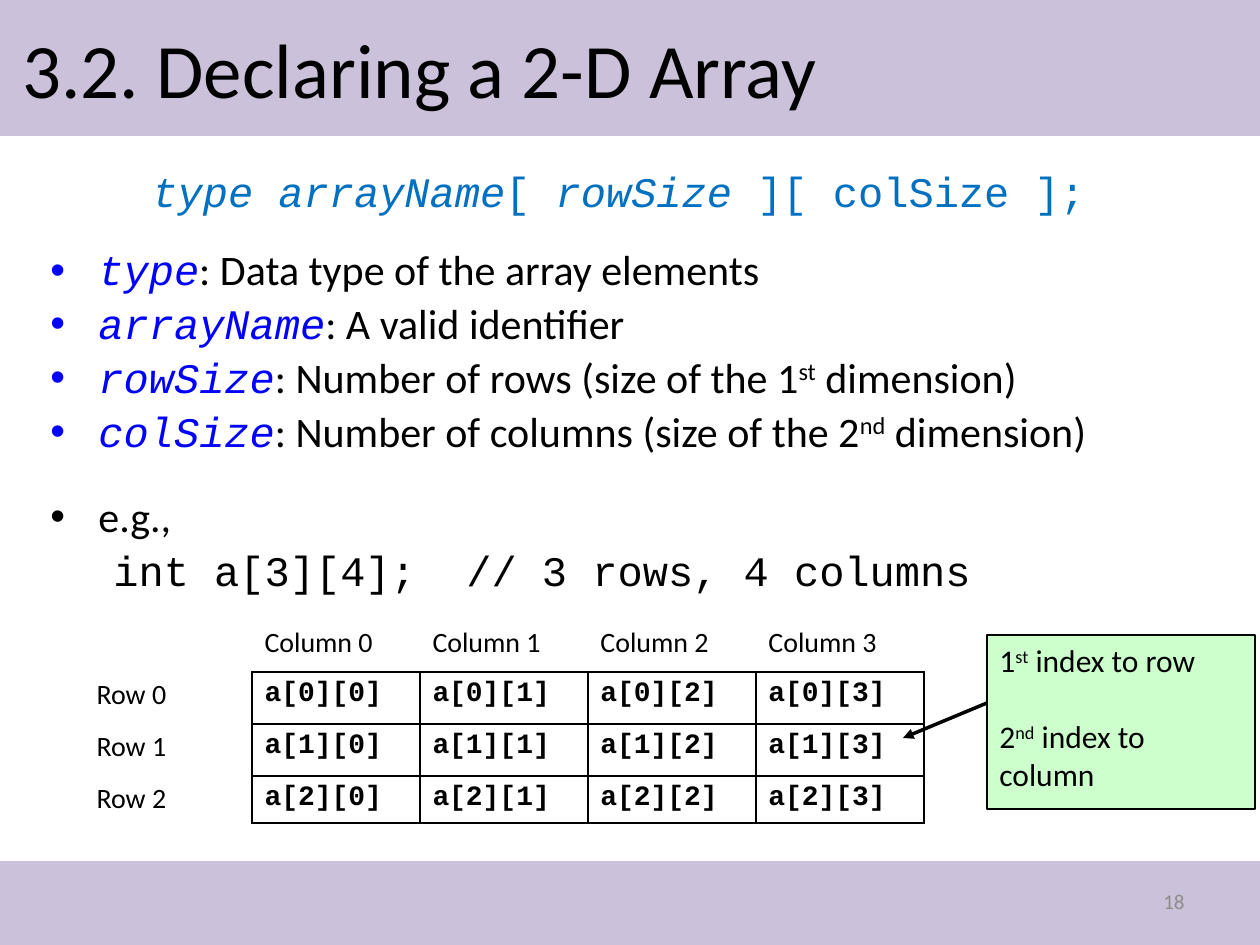
from lxml import etree
from pptx import Presentation, util as u
from pptx.dml.color import RGBColor
from pptx.enum import shapes, text
from pptx.oxml.ns import qn

PX = u.Inches(1) / 126
COLORS = {"band": "CCC1DA", "ink": "000000", "syntax": "0070C0", "term": "0000FF",
          "callout": "CCFFCC", "number": "8C8C8C"}
SANS, MONO = "Calibri", "Courier New"


def px(length):
    """Turn px into EMU."""
    return u.Emu(round(length * PX))


def color(name):
    """Look up a named colour."""
    return RGBColor.from_string(COLORS[name])


def write(paragraph, pieces, size):
    """Add (text, look) pieces to a paragraph as formatted runs."""
    for words, look in pieces:
        run = paragraph.add_run()
        run.text = words
        font = run.font
        font.size = u.Pt(size)
        font.name = look.get("font", SANS)
        font.color.rgb = color(look.get("color", "ink"))
        font.bold = look.get("bold", False)
        font.italic = look.get("italic", False)
        if look.get("raised"):
            run._r.get_or_add_rPr().set("baseline", "30000")


def ordinal(number, suffix, rest):
    """Give the pieces of a text holding a raised ordinal suffix."""
    return [(number, {}), (suffix, {"raised": True}), (rest, {})]


def add_box(slide, left, top, width, height, anchor=text.MSO_ANCHOR.TOP):
    """Add a wrapping text box and return its text frame."""
    frame = slide.shapes.add_textbox(px(left), px(top), px(width), px(height)).text_frame
    frame.word_wrap = True
    frame.vertical_anchor = anchor
    return frame


def add_rectangle(slide, left, top, width, height, fill):
    """Add a plain filled rectangle."""
    rectangle = slide.shapes.add_shape(shapes.MSO_SHAPE.RECTANGLE,
                                       px(left), px(top), px(width), px(height))
    rectangle.shadow.inherit = False
    rectangle.fill.solid()
    rectangle.fill.fore_color.rgb = color(fill)
    rectangle.line.fill.background()
    return rectangle


def indent(paragraph, margin, first, bullet=None):
    """Set the hanging indent and an optional bullet."""
    props = paragraph._p.get_or_add_pPr()
    props.set("marL", str(px(margin)))
    props.set("indent", str(px(first)))
    if bullet:
        etree.SubElement(props, qn("a:buFont"), typeface="Arial")
        etree.SubElement(props, qn("a:buChar"), char=bullet)


def add_body(slide):
    """Add the syntax line, its explained terms and the example."""
    code = {"font": MONO, "color": "syntax"}
    slanted = {**code, "italic": True}
    term = {"font": MONO, "color": "term", "italic": True}
    syntax = [("type arrayName", slanted), ("[ ", code), ("rowSize ", slanted),
              ("][ colSize ];", code)]
    meanings = {
        "type": [(": Data type of the array elements", {})],
        "arrayName": [(": A valid identifier", {})],
        "rowSize": ordinal(": Number of rows (size of the 1", "st", " dimension)"),
        "colSize": ordinal(": Number of columns (size of the 2", "nd", " dimension)"),
    }
    bulleted, example = (48, -48, "•"), (102, -39)
    lines = [(syntax, (102, 0), 0)]
    for name, meaning in meanings.items():
        gap = 19 if name == "type" else 4.8
        lines.append(([(name, term)] + meaning, bulleted, gap))
    lines.append(([("e.g.,", {})], bulleted, 23))
    lines.append(([("int a[3][4];  // 3 rows, 4 columns", {"font": MONO})], example, 4.8))

    frame = add_box(slide, 38, 157, 1218, 451)
    frame.margin_top = px(14)
    for i, (pieces, layout, gap) in enumerate(lines):
        paragraph = frame.add_paragraph() if i else frame.paragraphs[0]
        indent(paragraph, *layout)
        paragraph.line_spacing = 0.9
        paragraph.space_before = u.Pt(gap)
        write(paragraph, pieces, 24)


def set_borders(cell, sides):
    """Draw the named sides of a cell and hide the others."""
    props = cell._tc.get_or_add_tcPr()
    for side in "LRTB":
        edge = etree.SubElement(props, qn(f"a:ln{side}"), w=str(u.Pt(1)))
        if side in sides:
            fill = etree.SubElement(edge, qn("a:solidFill"))
            etree.SubElement(fill, qn("a:srgbClr"), val=COLORS["ink"])
        else:
            etree.SubElement(edge, qn("a:noFill"))


def add_array_table(slide):
    """Add the table of array elements with row and column labels."""
    heights = (52, 52, 52, 47)
    table = slide.shapes.add_table(4, 5, px(84), px(620), px(840), px(sum(heights))).table
    table.first_row = table.horz_banding = False
    for column in table.columns:
        column.width = px(168)
    for r, height in enumerate(heights):
        table.rows[r].height = px(height)
        for c in range(5):
            cell = table.cell(r, c)
            look = {}
            if r and c:
                words, sides = f"a[{r - 1}][{c - 1}]", "LRTB"
                look = {"font": MONO, "bold": True}
            elif r:
                words, sides = f"Row {r - 1}", "R"
            elif c:
                words, sides = f"Column {c - 1}", "B"
            else:
                words, sides = "", ""
            set_borders(cell, sides)
            cell.fill.background()
            if words:
                write(cell.text_frame.paragraphs[0], [(words, look)], 16)


def add_arrow(slide, start, end):
    """Add a straight line with an arrowhead at its end."""
    arrow = slide.shapes.add_connector(shapes.MSO_CONNECTOR.STRAIGHT,
                                       *map(px, start + end))
    arrow.line.color.rgb = color("ink")
    arrow.line.width = u.Pt(2)
    etree.SubElement(arrow.line._get_or_add_ln(), qn("a:tailEnd"), type="triangle")
    etree.SubElement(arrow._element.spPr, qn("a:effectLst"))


def add_callout(slide):
    """Add the note on which index is which."""
    callout = add_rectangle(slide, 987, 635, 268, 174, "callout")
    callout.line.color.rgb = color("ink")
    callout.line.width = u.Pt(0.75)
    frame = callout.text_frame
    frame.word_wrap = True
    frame.vertical_anchor = text.MSO_ANCHOR.TOP
    row_note, column_note = frame.paragraphs[0], frame.add_paragraph()
    column_note.space_before = u.Pt(22)
    write(row_note, ordinal("1", "st", " index to row"), 18)
    write(column_note, ordinal("2", "nd", " index to column"), 18)
    for note in (row_note, column_note):
        note.alignment = text.PP_ALIGN.LEFT


def main():
    """Build the slide and save it."""
    deck = Presentation()
    deck.slide_width, deck.slide_height = px(1260), px(945)
    slide = deck.slides.add_slide(deck.slide_layouts[6])

    add_rectangle(slide, 0, 0, 1260, 136, "band")
    add_rectangle(slide, 0, 861, 1260, 84, "band")
    title = add_box(slide, 10, 10, 1230, 116, text.MSO_ANCHOR.MIDDLE)
    write(title.paragraphs[0], [("3.2. Declaring a 2-D Array", {})], 44)
    add_body(slide)
    add_array_table(slide)
    add_arrow(slide, (987, 703), (903, 738))
    add_callout(slide)
    page = add_box(slide, 903, 876, 294, 50, text.MSO_ANCHOR.MIDDLE).paragraphs[0]
    page.alignment = text.PP_ALIGN.RIGHT
    write(page, [("18", {"color": "number"})], 12)
    deck.save("out.pptx")


if __name__ == "__main__":
    main()
